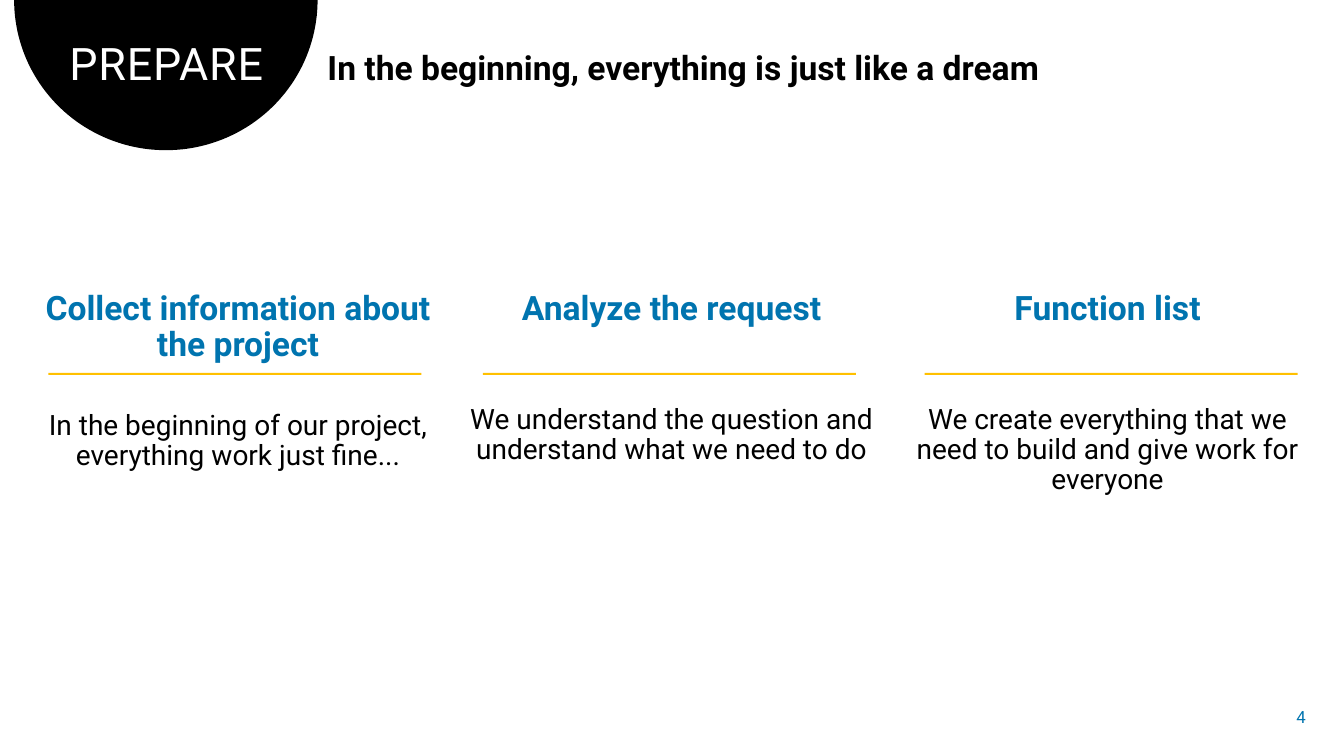
import math
from dataclasses import dataclass

import pptx
import pptx.dml.color
import pptx.enum.shapes
import pptx.enum.text
import pptx.util

SLIDE_W = pptx.util.Inches(13.33)
SLIDE_H = pptx.util.Inches(7.5)
FONT, BLUE, YELLOW, BLACK, WHITE = "Roboto", "0074AF", "FFC000", "000000", "FFFFFF"
ALIGN = pptx.enum.text.PP_ALIGN
ANCHOR = pptx.enum.text.MSO_ANCHOR


@dataclass
class Box:
    """Place on the slide, in percent of its width and height."""
    x: float
    y: float
    w: float
    h: float

    def emu(self) -> tuple[int, int, int, int]:
        return across(self.x), down(self.y), across(self.w), down(self.h)


@dataclass
class Para:
    text: str
    size: float
    color: str
    bold: bool = False
    align: ALIGN = ALIGN.CENTER
    before: float = 0
    after: float = 0
    line: float = 0.9
    tracking: int = 0


@dataclass
class Step:
    x: float
    w: float
    rule_x: float
    heading: str
    body: str
    body_gap: float


STEPS = [
    Step(2.48, 30.46, 3.6, "Collect information about the project",
         "In the beginning of our project, everything work just fine...", 10),
    Step(34.21, 31.52, 35.93, "Analyze the request",
         "We understand the question and understand what we need to do", 31.5),
    Step(66.92, 30.98, 68.79, "Function list",
         "We create everything that we need to build and give work for everyone", 31.5),
]


def across(share: float) -> int:
    return round(SLIDE_W * share / 100)


def down(share: float) -> int:
    return round(SLIDE_H * share / 100)


def rgb(value: str) -> pptx.dml.color.RGBColor:
    return pptx.dml.color.RGBColor.from_string(value)


def paint(shape, color: str) -> None:
    shape.shadow.inherit = False
    shape.fill.solid()
    shape.fill.fore_color.rgb = rgb(color)
    shape.line.fill.background()


def add_text(s, box: Box, paras: list[Para], anchor: ANCHOR = ANCHOR.TOP) -> None:
    tf = s.shapes.add_textbox(*box.emu()).text_frame
    tf.word_wrap = True
    tf.vertical_anchor = anchor
    for i, para in enumerate(paras):
        p = tf.add_paragraph() if i else tf.paragraphs[0]
        spacing = {"alignment": para.align, "line_spacing": para.line,
                   "space_before": pptx.util.Pt(para.before),
                   "space_after": pptx.util.Pt(para.after)}
        for name, value in spacing.items():
            setattr(p, name, value)
        r = p.add_run()
        r.text = para.text
        style = {"name": FONT, "size": pptx.util.Pt(para.size), "bold": para.bold}
        for name, value in style.items():
            setattr(r.font, name, value)
        r.font.color.rgb = rgb(para.color)
        if para.tracking:
            r._r.get_or_add_rPr().set("spc", str(para.tracking))


def add_half_disc(s, box: Box, color: str, steps: int = 90) -> None:
    """Draw the lower half of an ellipse that fills the box."""
    left, top, width, height = box.emu()
    angles = [math.pi * i / steps for i in range(steps + 1)]
    points = [(left + width * (1 + math.cos(a)) / 2, top + height * math.sin(a))
              for a in angles]
    outline = s.shapes.build_freeform(*points[0])
    outline.add_line_segments(points[1:], close=True)
    paint(outline.convert_to_shape(), color)


def add_step(s, step: Step) -> None:
    add_text(s, Box(step.x, 37.87, step.w, 25), [
        Para(step.heading, 24, BLUE, bold=True, after=24),
        Para(step.body, 20, BLACK, before=step.body_gap, after=12),
    ])
    rule = s.shapes.add_shape(pptx.enum.shapes.MSO_SHAPE.RECTANGLE,
                              *Box(step.rule_x, 49.33, 27.76, 0.27).emu())
    paint(rule, YELLOW)


def main() -> None:
    prs = pptx.Presentation()
    prs.slide_width, prs.slide_height = SLIDE_W, SLIDE_H
    s = prs.slides.add_slide(prs.slide_layouts[6])

    add_half_disc(s, Box(1.05, 0, 22.58, 19.87), BLACK)
    add_text(s, Box(2.63, 4.93, 19.5, 7.87),
             [Para("PREPARE", 32, WHITE, tracking=60)])
    add_text(s, Box(23.63, 6.13, 74.5, 6.13),
             [Para("In the beginning, everything is just like a dream", 24, BLACK,
                   bold=True, align=ALIGN.LEFT)])
    for step in STEPS:
        add_step(s, step)
    add_text(s, Box(93.77, 92.13, 4.13, 5.33),
             [Para("4", 12, BLUE, align=ALIGN.RIGHT, line=1.0)], ANCHOR.MIDDLE)
    prs.save("out.pptx")


if __name__ == "__main__":
    main()
